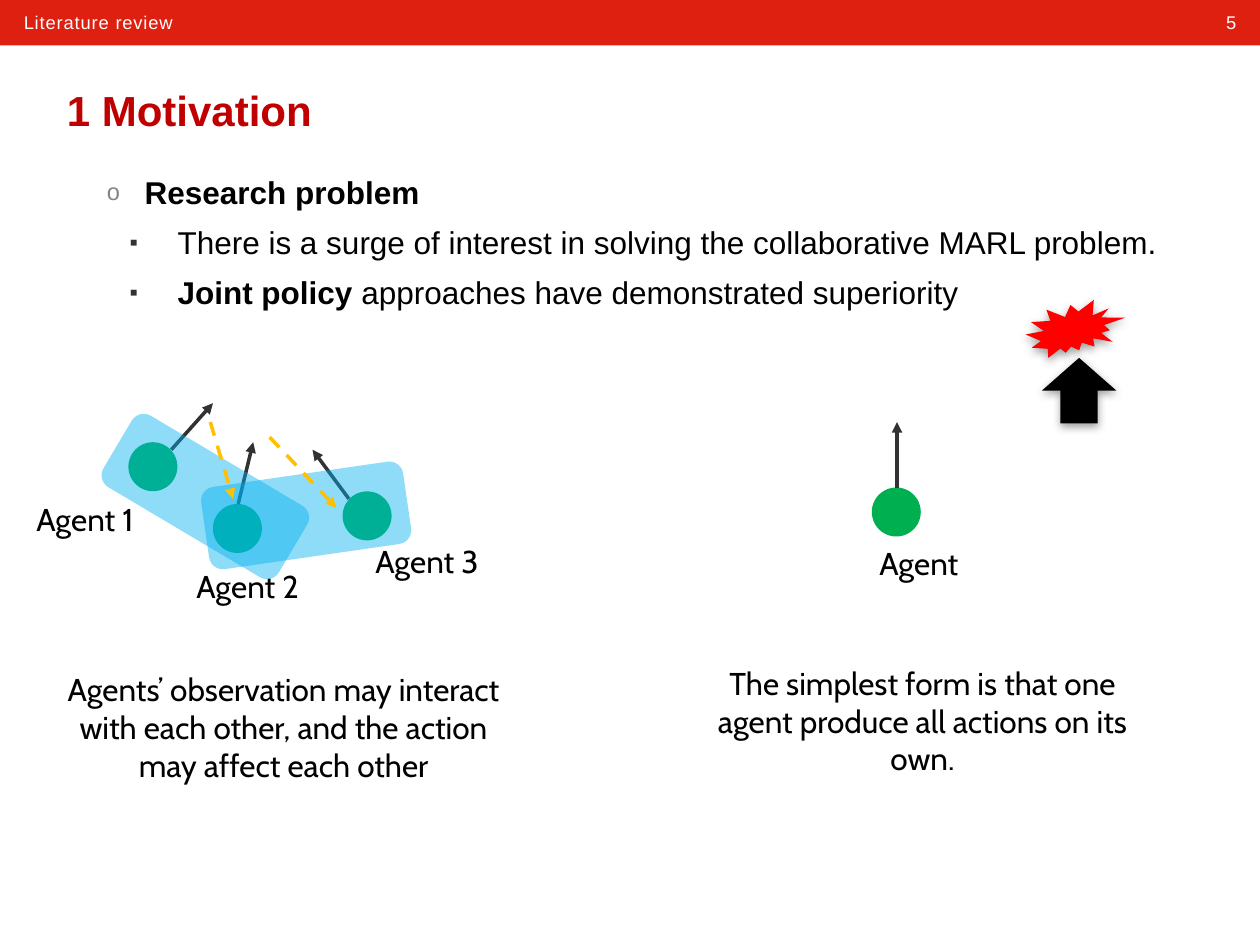
from lxml.etree import SubElement
from pptx import Presentation
from pptx.dml.color import RGBColor
from pptx.enum.dml import MSO_LINE
from pptx.enum.shapes import MSO_CONNECTOR, MSO_SHAPE
from pptx.enum.text import MSO_ANCHOR, MSO_AUTO_SIZE, PP_ALIGN
from pptx.oxml.ns import qn
from pptx.util import Pt

THEME = {
    "bar": "DE2010", "white": "FFFFFF", "title": "C00000", "text": "000000",
    "agent": "00B050", "region": "00B0F0", "arrow": "323232", "effect": "FFC000",
    "goal": "FF0000", "shadow": "808080", "heading_mark": "848484",
    "sans": "Arial", "label": "Cabin",
    "header_size": 10.5, "title_size": 24, "text_size": 18,
}

HEADER = [
    ("5", (661.7, 2.9, 51.8, 20.2), PP_ALIGN.RIGHT),
    ("Literature review", (6.5, 2.9, 450, 20.2), PP_ALIGN.LEFT),
]
TITLE = "1 Motivation"
# level, bullet, bullet colour, text margin, hanging indent, (text, bold) runs
BULLETS = [
    (1, "o", "heading_mark", 44.6, -21.6, [("Research problem", True)]),
    (2, "▪", "arrow", 63.4, -27.4, [
        ("There is a surge of interest in solving the collaborative MARL problem.", False)]),
    (2, "▪", "arrow", 63.4, -27.4, [
        ("Joint policy ", True), ("approaches have demonstrated superiority", False)]),
]
# name, circle corner, arrow start, arrow tip, label corner
AGENTS = [
    ("Agent 1", (73.4, 252.7), (97.9, 257), (121.7, 230.4), (13.7, 282.2)),
    ("Agent 2", (121.7, 288), (136.1, 288), (144.7, 252.7), (105.1, 320.4)),
    ("Agent 3", (195.8, 280.8), (199.4, 285.1), (178.6, 257), (207.4, 306)),
    ("Agent", (498.2, 278.6), (512.6, 278.6), (512.6, 241.2), (495.4, 307.4)),
]
REGIONS = [((93.6, 225.4), 300.7), ((151.2, 236.2), 261.8)]
CAPTIONS = [
    ("Agents’ observation may interact with each other, and the action may affect each other",
     (25.9, 379.4)),
    ("The simplest form is that one agent produce all actions on its own.", (391, 375.8)),
]
GOAL = [
    (MSO_SHAPE.UP_ARROW, (595.4, 204.5, 42.5, 37.4), "text"),
    (MSO_SHAPE.EXPLOSION2, (586.1, 171.4, 56.9, 33.1), "goal"),
]
EFFECTS = [((120.2, 241.2), (133.2, 285.1)), ((154.1, 249.8), (192.2, 290.2))]


def color(name):
    return RGBColor.from_string(THEME[name])


def style(font, face, size, fill, bold=False):
    font.name, font.size, font.bold = THEME[face], Pt(THEME[size]), bold
    font.color.rgb = color(fill)


def add_shape(s, kind, box, fill):
    sp = s.shapes.add_shape(kind, *map(Pt, box))
    sp.shadow.inherit = False
    sp.fill.solid()
    sp.fill.fore_color.rgb = color(fill)
    sp.line.fill.background()
    return sp


def add_text(s, text, box, face="label", size="text_size", fill="text", align=PP_ALIGN.LEFT):
    tf = s.shapes.add_textbox(*map(Pt, box)).text_frame
    tf.word_wrap = True
    tf.auto_size = MSO_AUTO_SIZE.SHAPE_TO_FIT_TEXT
    tf.text = text
    p = tf.paragraphs[0]
    p.alignment = align
    style(p.runs[0].font, face, size, fill)
    return p.runs[0]


def add_arrow(s, start, tip, fill, dash=None):
    cn = s.shapes.add_connector(MSO_CONNECTOR.STRAIGHT, *map(Pt, start + tip))
    cn.line.color.rgb = color(fill)
    cn.line.width = Pt(2)
    if dash:
        cn.line.dash_style = dash
    SubElement(cn.line._get_or_add_ln(), qn("a:tailEnd"), type="triangle")
    SubElement(cn._element.spPr, qn("a:effectLst"))


def set_alpha(fill_parent, percent):
    for clr in fill_parent.iter(qn("a:srgbClr")):
        SubElement(clr, qn("a:alpha"), val=str(percent * 1000))


def add_drop_shadow(sp):
    effects = sp._element.spPr.find(qn("a:effectLst"))
    shadow = SubElement(effects, qn("a:outerShdw"), blurRad=str(Pt(5)), dist=str(Pt(2)),
                        dir=str(90 * 60000), rotWithShape="0")
    SubElement(shadow, qn("a:srgbClr"), val=THEME["shadow"])
    set_alpha(shadow, 75)


def set_bullet(p, mark, fill, margin, indent):
    pPr = p._p.get_or_add_pPr()
    pPr.set("marL", str(Pt(margin)))
    pPr.set("indent", str(Pt(indent)))
    SubElement(SubElement(pPr, qn("a:buClr")), qn("a:srgbClr"), val=THEME[fill])
    SubElement(pPr, qn("a:buSzPct"), val="75000")
    SubElement(pPr, qn("a:buFont"), typeface=THEME["sans"])
    SubElement(pPr, qn("a:buChar"), char=mark)


def add_header(s):
    add_shape(s, MSO_SHAPE.RECTANGLE, (0, 0, 720, 26), "bar")
    for text, box, align in HEADER:
        r = add_text(s, text, box, "sans", "header_size", "white", align)
        r._r.get_or_add_rPr().set("spc", "50")


def add_title(s):
    title = s.shapes.title
    title.left, title.top, title.width, title.height = map(Pt, (31, 39.6, 657.4, 46))
    tf = title.text_frame
    tf.text = TITLE
    tf.vertical_anchor = MSO_ANCHOR.MIDDLE
    p = tf.paragraphs[0]
    p.alignment = PP_ALIGN.LEFT
    style(p.runs[0].font, "sans", "title_size", "title", True)


def add_bullets(s):
    tf = s.shapes.add_textbox(*map(Pt, (31, 94.3, 657.4, 419.8))).text_frame
    tf.word_wrap = True
    for i, (level, mark, fill, margin, indent, runs) in enumerate(BULLETS):
        p = tf.add_paragraph() if i else tf.paragraphs[0]
        p.level = level
        set_bullet(p, mark, fill, margin, indent)
        p.line_spacing = 1.05
        p.space_before = Pt(6 if i else 0)
        for text, bold in runs:
            r = p.add_run()
            r.text = text
            style(r.font, "sans", "text_size", "text", bold)


def add_agents(s):
    for name, corner, start, tip, label in AGENTS:
        add_shape(s, MSO_SHAPE.OVAL, corner + (28, 28), "agent")
        add_arrow(s, start, tip, "arrow")
        add_text(s, name, label + (90.7, 28.8))
    for corner, angle in REGIONS:
        sp = add_shape(s, MSO_SHAPE.ROUNDED_RECTANGLE, corner + (47.5, 116.6), "region")
        sp.rotation = angle
        set_alpha(sp._element.spPr, 44)


def main():
    prs = Presentation()
    prs.slide_width, prs.slide_height = Pt(720), Pt(540)
    s = prs.slides.add_slide(prs.slide_layouts[5])
    add_header(s)
    add_title(s)
    add_bullets(s)
    add_agents(s)
    for text, corner in CAPTIONS:
        add_text(s, text, corner + (272.2, 72.7), align=PP_ALIGN.CENTER)
    for kind, box, fill in GOAL:
        add_drop_shadow(add_shape(s, kind, box, fill))
    for start, tip in EFFECTS:
        add_arrow(s, start, tip, "effect", MSO_LINE.DASH)
    prs.save("out.pptx")


if __name__ == "__main__":
    main()
